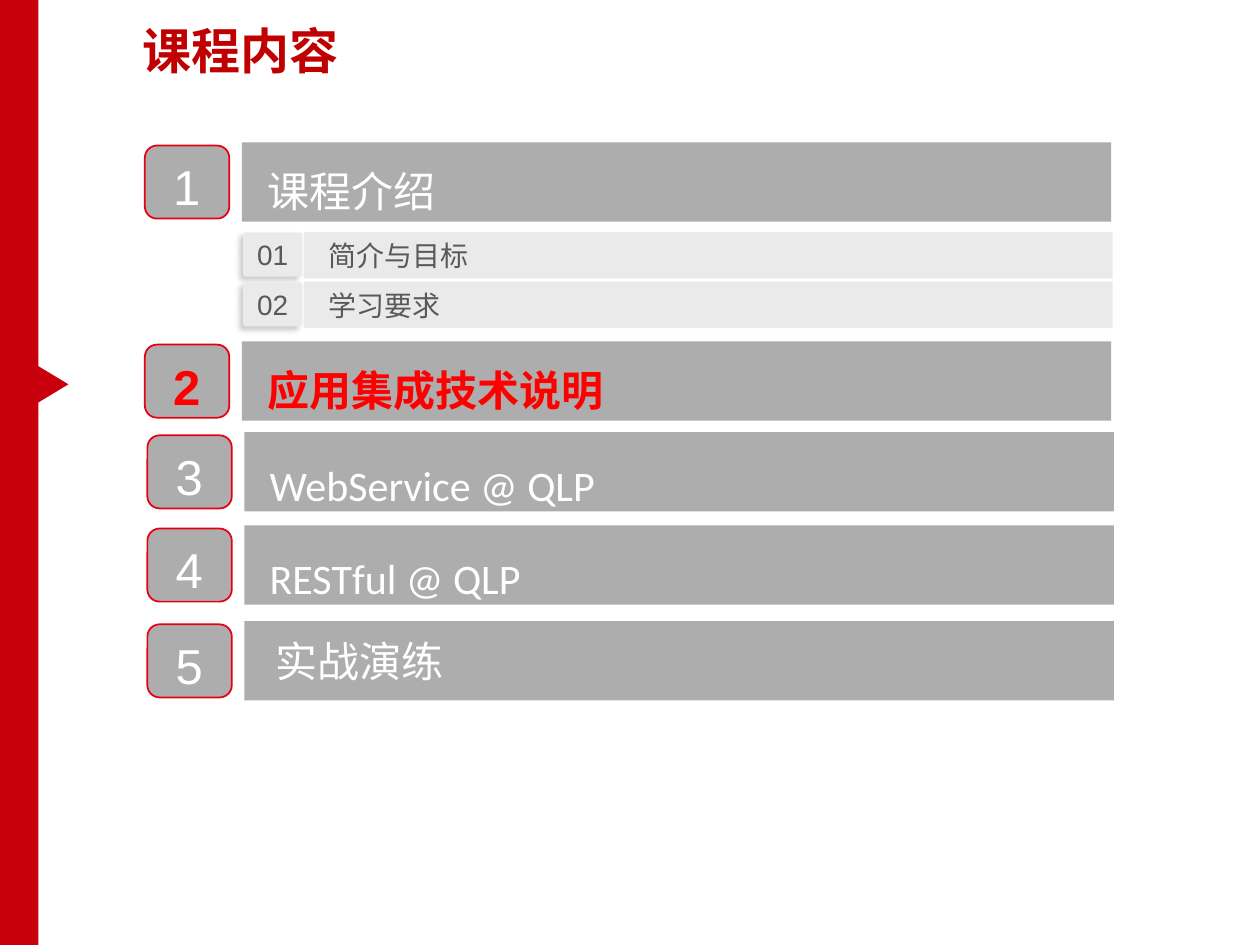
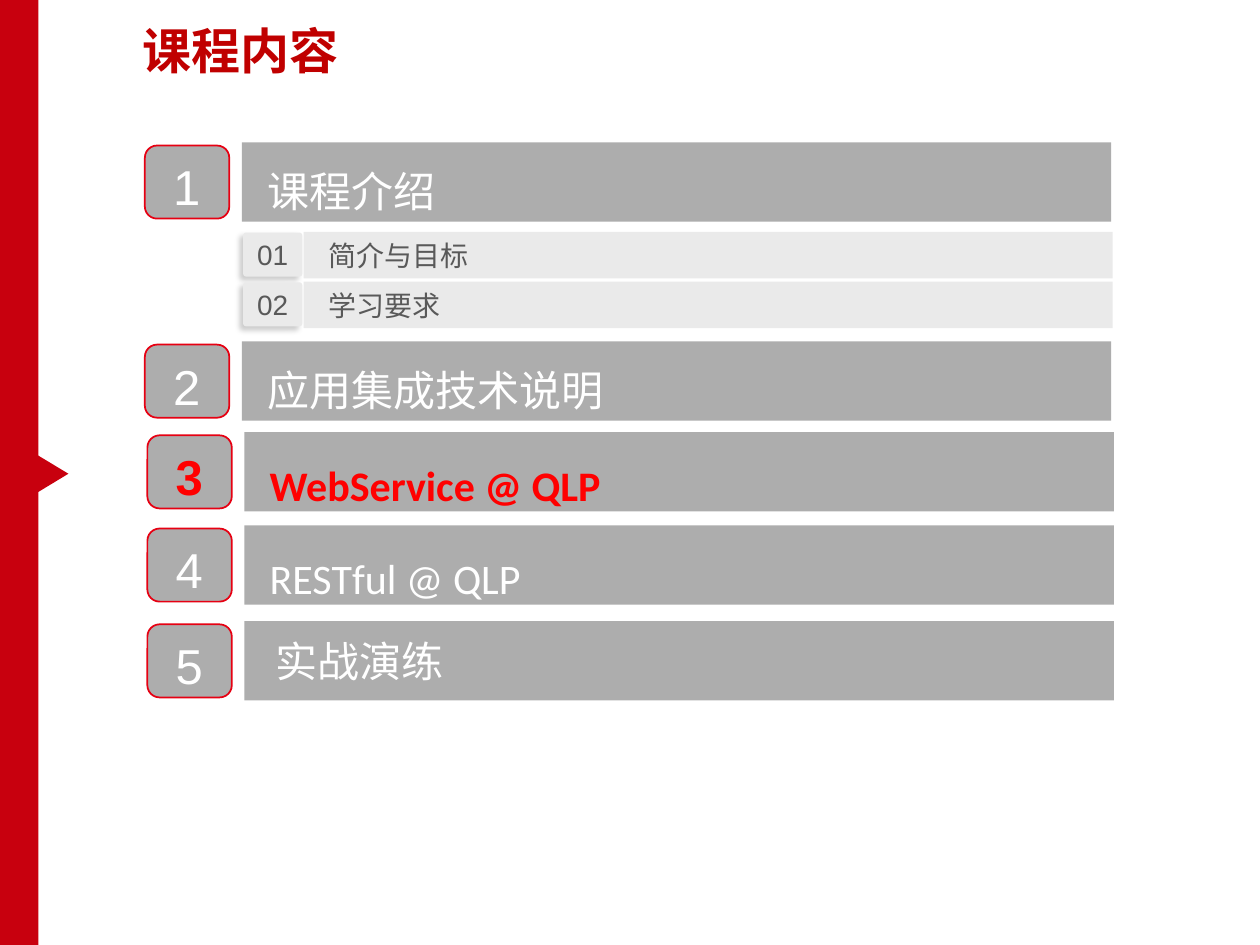
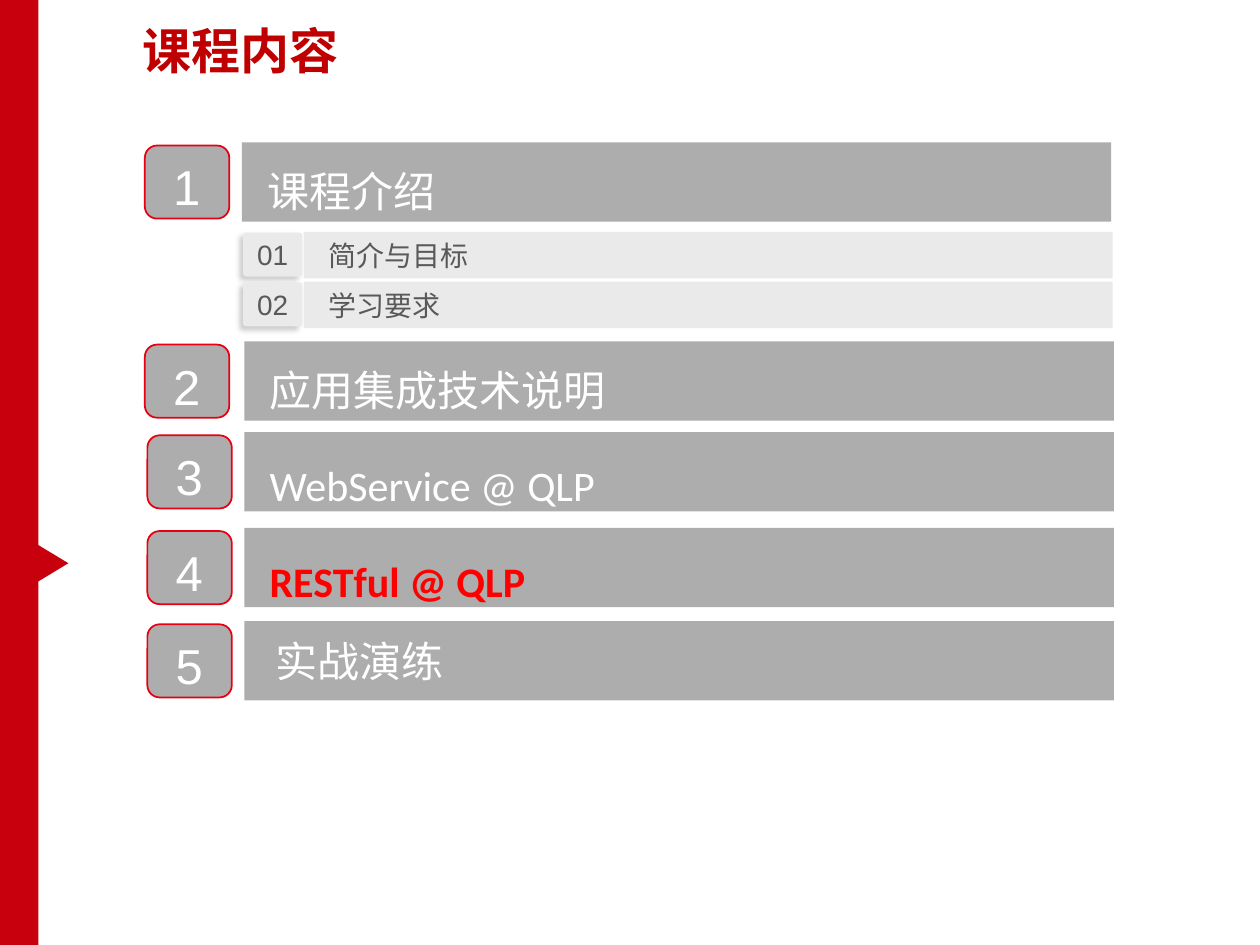
from lxml import etree
from pptx import Presentation
from pptx.dml.color import RGBColor
from pptx.enum import shapes as es, text as et
from pptx.oxml.ns import qn
from pptx.util import Pt

# Content
TITLE = "课程内容"
TOP, MIDDLE, BOTTOM = et.MSO_ANCHOR.TOP, et.MSO_ANCHOR.MIDDLE, et.MSO_ANCHOR.BOTTOM
CJK, LATIN, DIGITS = "Noto Sans CJK SC", "Calibri", "Arial"
# (name, font, row left, bar top, anchor, text inset, line spacing)
CHAPTERS = [
    ("课程介绍", CJK, 82.8, 81.36, BOTTOM, 14.4, 1.5),
    ("应用集成技术说明", LATIN, 82.8, 195.12, BOTTOM, 14.4, 1.5),
    ("WebService @ QLP", LATIN, 84.24, 246.96, MIDDLE, 14.4, 1.5),
    ("RESTful @ QLP", LATIN, 84.24, 300.24, MIDDLE, 14.4, 1.5),
    ("实战演练", LATIN, 84.24, 354.96, MIDDLE, 18, 1.0),
]
TOPICS = ["简介与目标", "学习要求"]
# Current chapter, whether its number is lit, and shifts {chapter: (bar dx, row dy)}
AGENDAS = [
    (2, True, {}),
    (3, True, {}),
    (4, False, {2: (1.44, 0), 4: (0, 1.44)}),
]

# Colours
BAND_RED = RGBColor(0xC8, 0x00, 0x0E)
TITLE_RED = RGBColor(0xC0, 0x00, 0x00)
BORDER_RED = RGBColor(0xE6, 0x00, 0x12)
CURRENT_RED = RGBColor(0xFF, 0x00, 0x00)
WHITE = RGBColor(0xFF, 0xFF, 0xFF)
CHAPTER_GRAY = RGBColor(0xAD, 0xAD, 0xAD)
TOPIC_GRAY = RGBColor(0xEA, 0xEA, 0xEA)
TOPIC_TEXT = RGBColor(0x59, 0x59, 0x59)

# Layout in points
BAR_DX, BAR_W, BAR_H = 55.44, 496.8, 45.36
TOPIC_TOP, TOPIC_STEP = 132.48, 28.44
MARKER_TOP, MARKER_STEP = 210.96, 51.12

RECT = es.MSO_SHAPE.RECTANGLE
ROUNDED = es.MSO_SHAPE.ROUNDED_RECTANGLE


def add_block(parent, kind, left, top, width, height, fill, border=None):
    block = parent.add_shape(kind, Pt(left), Pt(top), Pt(width), Pt(height))
    block.shadow.inherit = False
    block.fill.solid()
    block.fill.fore_color.rgb = fill
    if border is None:
        block.line.fill.background()
    else:
        block.line.color.rgb = border
        block.line.width = Pt(1)
    return block


def write(holder, words, size, font, color, bold=False, anchor=TOP,
          align=et.PP_ALIGN.LEFT, margins=(7.2, 3.6, 7.2, 3.6), wrap=True):
    frame = holder.text_frame
    frame.text = words
    frame.word_wrap = wrap
    frame.auto_size = et.MSO_AUTO_SIZE.NONE
    frame.vertical_anchor = anchor
    (frame.margin_left, frame.margin_top,
     frame.margin_right, frame.margin_bottom) = map(Pt, margins)
    paragraph = frame.paragraphs[0]
    paragraph.alignment = align
    paragraph.font.size = Pt(size)
    paragraph.font.bold = bold
    paragraph.font.color.rgb = color
    paragraph.font.name = font
    # East Asian typeface
    defaults = paragraph._p.pPr.find(qn("a:defRPr"))
    etree.SubElement(defaults, qn("a:ea"), typeface=CJK)
    return paragraph


def add_soft_shadow(block):
    effects = block._element.spPr.find(qn("a:effectLst"))
    shadow = etree.SubElement(effects, qn("a:outerShdw"), blurRad=str(Pt(3)),
                              dist=str(Pt(3)), dir="8100000", algn="tr", rotWithShape="0")
    black = etree.SubElement(shadow, qn("a:srgbClr"), val="000000")
    etree.SubElement(black, qn("a:alpha"), val="20000")


def add_frame(slide, current):
    """Red side band, title and the marker beside the current chapter."""
    add_block(slide.shapes, RECT, -2.88, 0, 24.84, 540, BAND_RED)
    title = slide.shapes.title
    title.left, title.top, title.width, title.height = map(Pt, (74.16, 7.92, 437.76, 49.68))
    write(title, TITLE, 28, CJK, TITLE_RED, bold=True)
    marker = add_block(slide.shapes, es.MSO_SHAPE.ISOSCELES_TRIANGLE, 20,
                       MARKER_TOP + (current - 2) * MARKER_STEP, 20.88, 17.28, BAND_RED)
    marker.rotation = 90


def add_chapter(slide, number, chapter, current, number_lit, shift):
    name, font, left, top, anchor, inset, spacing = chapter
    bar_dx, row_dy = shift
    top += row_dy
    row = slide.shapes.add_group_shape().shapes
    add_block(row, ROUNDED, left, top + 1.8, 48.24, 41.76, CHAPTER_GRAY, BORDER_RED)

    bar = add_block(row, RECT, left + BAR_DX + bar_dx, top, BAR_W, BAR_H, CHAPTER_GRAY)
    paragraph = write(bar, name, 24, font, CURRENT_RED if current else WHITE, current,
                      anchor, margins=(inset, 3.6, 7.2, 3.6))
    if spacing > 1:
        paragraph.line_spacing = spacing
        paragraph.space_after = Pt(8.4)

    lit = current and number_lit
    label = row.add_textbox(Pt(left + 9), Pt(top + 4.8), Pt(30.24), Pt(41.04))
    write(label, str(number), 28, DIGITS, CURRENT_RED if lit else WHITE, lit, wrap=False)


def add_topic(slide, index, name):
    top = TOPIC_TOP + index * TOPIC_STEP
    row = slide.shapes.add_group_shape().shapes
    bar = add_block(row, RECT, 173.52, top, 462.24, 26.64, TOPIC_GRAY)
    write(bar, name, 16, LATIN, TOPIC_TEXT, anchor=MIDDLE, margins=(14.4, 0, 7.2, 0))
    badge = add_block(row, ROUNDED, 138.96, top + 0.4, 33.84, 25.2, TOPIC_GRAY)
    badge.adjustments[0] = 0.07
    add_soft_shadow(badge)
    write(badge, f"{index + 1:02}", 16, DIGITS, TOPIC_TEXT, anchor=MIDDLE,
          align=et.PP_ALIGN.CENTER)


def main():
    deck = Presentation()
    deck.slide_width, deck.slide_height = Pt(720), Pt(540)
    title_only = deck.slide_layouts[5]
    for current, number_lit, shifts in AGENDAS:
        slide = deck.slides.add_slide(title_only)
        add_frame(slide, current)
        for number, chapter in enumerate(CHAPTERS, 1):
            add_chapter(slide, number, chapter, number == current, number_lit,
                        shifts.get(number, (0, 0)))
        for index, name in enumerate(TOPICS):
            add_topic(slide, index, name)
    deck.save("out.pptx")


if __name__ == "__main__":
    main()
